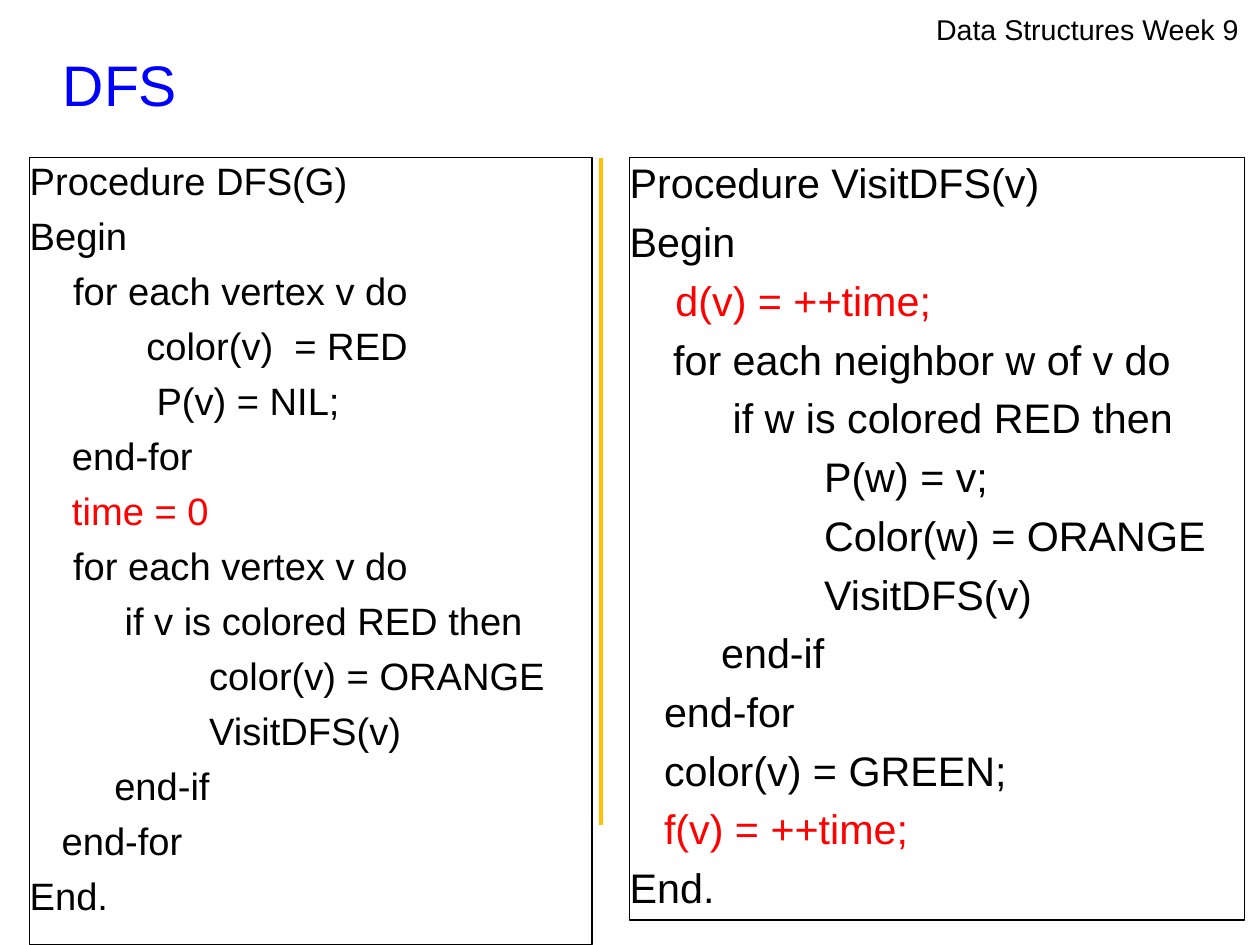
import pptx
import pptx.dml.color
import pptx.enum.shapes
import pptx.enum.text
import pptx.oxml
import pptx.oxml.ns
import pptx.util
from dataclasses import dataclass

Inches = pptx.util.Inches
Pt = pptx.util.Pt


@dataclass(frozen=True)
class Theme:
    font: str = "Arial"
    ink: str = "000000"
    title: str = "0000FF"
    highlight: str = "FF0000"
    divider: str = "FFC000"
    title_size: float = 36
    header_size: float = 18
    main_code_size: float = 24
    visit_code_size: float = 26
    line_gap: float = 5.8
    border_width: float = 0.75
    divider_width: float = 2.25


THEME = Theme()

# Each code line: indent in inches, wording, colour
DFS_CODE = [
    (0, "Procedure DFS(G)", THEME.ink),
    (0, "Begin", THEME.ink),
    (0.38, "for each vertex v do", THEME.ink),
    (1.02, "color(v)  = RED", THEME.ink),
    (1.11, "P(v) = NIL;", THEME.ink),
    (0.37, "end-for", THEME.ink),
    (0.37, "time = 0", THEME.highlight),
    (0.38, "for each vertex v do", THEME.ink),
    (0.83, "if v is colored RED then", THEME.ink),
    (1.57, "color(v) = ORANGE", THEME.ink),
    (1.57, "VisitDFS(v)", THEME.ink),
    (0.74, "end-if", THEME.ink),
    (0.28, "end-for", THEME.ink),
    (0, "End.", THEME.ink),
]
VISIT_CODE = [
    (0, "Procedure VisitDFS(v)", THEME.ink),
    (0, "Begin", THEME.ink),
    (0.4, "d(v) = ++time;", THEME.highlight),
    (0.38, "for each neighbor w of v do", THEME.ink),
    (0.9, "if w is colored RED then", THEME.ink),
    (1.7, "P(w) = v;", THEME.ink),
    (1.7, "Color(w) = ORANGE", THEME.ink),
    (1.7, "VisitDFS(v)", THEME.ink),
    (0.8, "end-if", THEME.ink),
    (0.3, "end-for", THEME.ink),
    (0.3, "color(v) = GREEN;", THEME.ink),
    (0.3, "f(v) = ++time;", THEME.highlight),
    (0, "End.", THEME.ink),
]


def rgb(value):
    return pptx.dml.color.RGBColor.from_string(value)


def apply_format(target, values):
    for name, value in values.items():
        setattr(target, name, value)


def prepare_frame(shape, anchor):
    frame = shape.text_frame
    apply_format(frame, {
        "margin_left": 0, "margin_top": 0, "margin_right": 0, "margin_bottom": 0,
        "word_wrap": True, "vertical_anchor": anchor,
    })
    return frame


def write_line(paragraph, text, size, color):
    paragraph.alignment = pptx.enum.text.PP_ALIGN.LEFT
    run = paragraph.add_run()
    run.text = text
    apply_format(run.font, {"name": THEME.font, "size": Pt(size)})
    run.font.color.rgb = rgb(color)


def add_label(slide, box, text, size, color, anchor):
    """Single line of text such as the title or the course header."""
    shape = slide.shapes.add_textbox(*map(Inches, box))
    frame = prepare_frame(shape, anchor)
    write_line(frame.paragraphs[0], text, size, color)


def add_code_panel(slide, box, code, size):
    """Outlined box with one paragraph for each line of pseudocode."""
    panel = slide.shapes.add_shape(
        pptx.enum.shapes.MSO_SHAPE.RECTANGLE, *map(Inches, box))
    panel.shadow.inherit = False
    panel.fill.background()
    panel.line.color.rgb = rgb(THEME.ink)
    panel.line.width = Pt(THEME.border_width)
    frame = prepare_frame(panel, pptx.enum.text.MSO_ANCHOR.TOP)
    for index, (indent, text, color) in enumerate(code):
        paragraph = frame.add_paragraph() if index else frame.paragraphs[0]
        paragraph.space_after = Pt(THEME.line_gap)
        properties = paragraph._p.get_or_add_pPr()
        properties.set("marL", str(Inches(indent)))
        properties.set("indent", "0")
        write_line(paragraph, text, size, color)


def add_divider(slide, box):
    """Vertical line along the left edge of its box."""
    left, top, width, height = box
    divider = slide.shapes.add_connector(
        pptx.enum.shapes.MSO_CONNECTOR.STRAIGHT,
        *map(Inches, (left, top, left + width, top + height)))
    divider.line.color.rgb = rgb(THEME.divider)
    divider.line.width = Pt(THEME.divider_width)
    divider._element.spPr.append(
        pptx.oxml.parse_xml("<a:effectLst %s/>" % pptx.oxml.ns.nsdecls("a")))


def build_slide(presentation):
    slide = presentation.slides.add_slide(presentation.slide_layouts[6])
    anchors = pptx.enum.text.MSO_ANCHOR
    panel_top = 1.38

    # Title and course header
    add_label(slide, (0.55, 0.33, 9.87, 0.8), "DFS",
              THEME.title_size, THEME.title, anchors.MIDDLE)
    add_label(slide, (8.19, 0.1, 2.7, 0.32), "Data Structures Week 9",
              THEME.header_size, THEME.ink, anchors.TOP)

    # The two procedures and the line between them
    add_code_panel(slide, (0.26, panel_top, 4.92, 6.88),
                   DFS_CODE, THEME.main_code_size)
    add_code_panel(slide, (5.51, panel_top, 5.38, 6.67),
                   VISIT_CODE, THEME.visit_code_size)
    add_divider(slide, (5.26, panel_top, 0, 5.84))


def main():
    presentation = pptx.Presentation()
    # Page of 28 by 21 cm in whole quarter points
    apply_format(presentation, {
        "slide_width": Pt(793.75), "slide_height": Pt(595.25)})
    build_slide(presentation)
    presentation.save("out.pptx")


if __name__ == "__main__":
    main()
